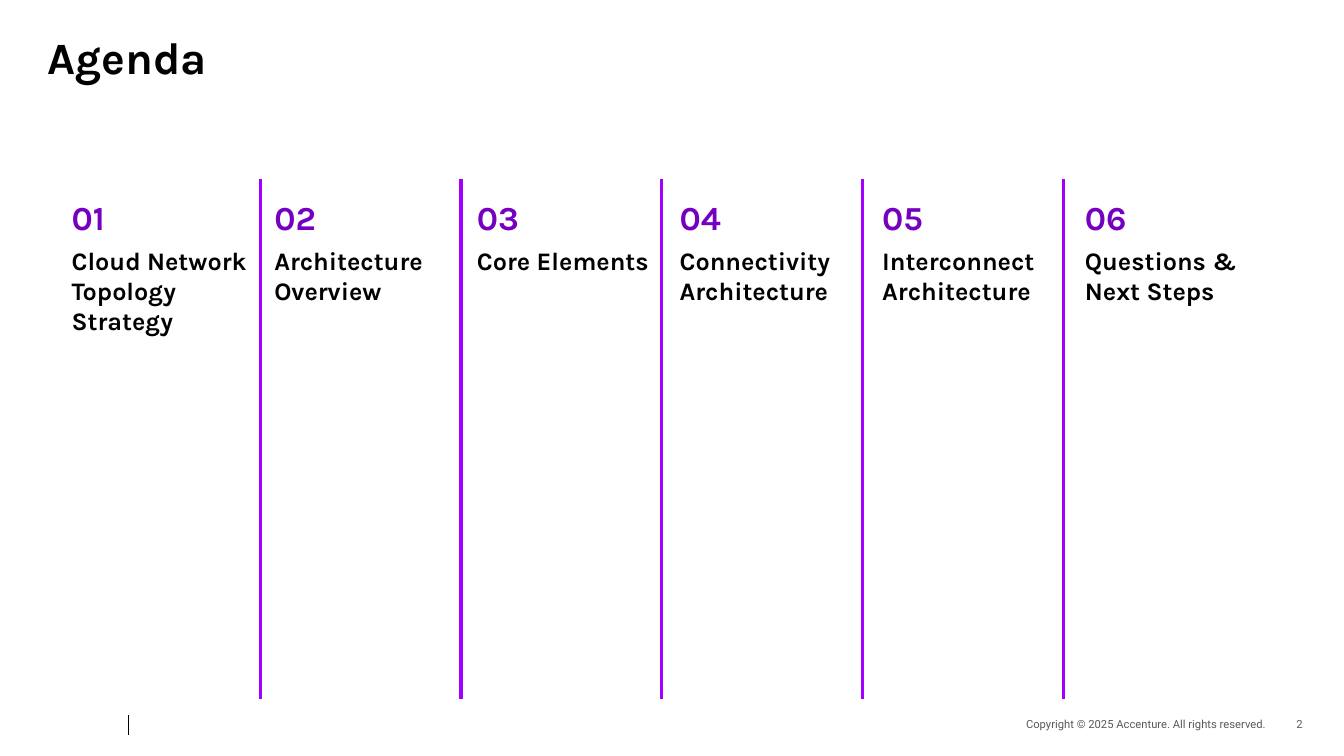
from lxml import etree
from pptx import Presentation
from pptx import util as u
from pptx.dml.color import RGBColor
from pptx.enum import shapes, text
from pptx.oxml.ns import qn

TOPICS = [
    "Cloud Network Topology Strategy",
    "Architecture Overview",
    "Core Elements",
    "Connectivity Architecture",
    "Interconnect Architecture",
    "Questions & Next Steps",
]


def colour(hex_string):
    return RGBColor.from_string(hex_string)


class AgendaSlide:
    CELL = u.Inches(0.1)
    HEADING, BODY = "Karla", "Roboto"
    INK, GREY, VIOLET, PURPLE = "000000", "595959", "A100FF", "7500C0"

    def __init__(self, deck):
        self.slide = deck.slides.add_slide(deck.slide_layouts[6])

    def cells(self, *counts):
        return [round(count * self.CELL) for count in counts]

    def label(self, wording, area, size, ink=INK, font=HEADING, bold=True,
              align=text.PP_ALIGN.LEFT, anchor=text.MSO_ANCHOR.TOP,
              fit=text.MSO_AUTO_SIZE.NONE, after=0, spacing=1.0):
        frame = self.slide.shapes.add_textbox(*self.cells(*area)).text_frame
        frame.margin_left = frame.margin_right = 0
        frame.margin_top = frame.margin_bottom = 0
        frame.word_wrap = True
        frame.auto_size = fit
        frame.vertical_anchor = anchor
        frame.text = wording
        paragraph = frame.paragraphs[0]
        paragraph.alignment = align
        paragraph.space_after = u.Pt(after)
        paragraph.line_spacing = spacing
        for run in paragraph.runs:
            run.font.name = font
            run.font.size = u.Pt(size)
            run.font.bold = bold
            run.font.color.rgb = colour(ink)

    def footer(self, wording, area):
        self.label(wording, area, 8, self.GREY, self.BODY, bold=False,
                   align=text.PP_ALIGN.RIGHT, after=12)

    def rule(self, column, top, bottom, ink, weight):
        divider = self.slide.shapes.add_connector(
            shapes.MSO_CONNECTOR.STRAIGHT,
            *self.cells(column, bottom, column, top))
        divider.line.color.rgb = colour(ink)
        divider.line.width = u.Pt(weight)
        properties = divider.element.find(qn("p:spPr"))
        etree.SubElement(properties, qn("a:effectLst"))

    def topic(self, index, wording):
        left = 7.1 + 20.1 * index
        self.label(wording, (left, 24.3, 18.9, 10.9), 18, after=6)
        self.label(f"{index + 1:02d}", (left, 19.5, 18.9, 4), 24, self.PURPLE,
                   anchor=text.MSO_ANCHOR.BOTTOM,
                   fit=text.MSO_AUTO_SIZE.SHAPE_TO_FIT_TEXT, after=6)
        if index:
            self.rule(25.8 + 19.92 * (index - 1), 17.8, 69.3, self.VIOLET, 2.25)


def main():
    deck = Presentation()
    deck.slide_width, deck.slide_height = u.Inches(13.33), u.Inches(7.5)
    agenda = AgendaSlide(deck)
    agenda.footer("Copyright © 2025 Accenture. All rights reserved.",
                  (93.6, 71.2, 32, 2.4))
    agenda.footer("2", (126.2, 71.2, 3, 2.4))
    agenda.rule(12.7, 70.9, 72.9, agenda.INK, 0.5)
    for index, wording in enumerate(TOPICS):
        agenda.topic(index, wording)
    agenda.label("Agenda", (4.7, 4, 24.4, 6.2), 32, spacing=0.8)
    deck.save("out.pptx")


if __name__ == "__main__":
    main()
